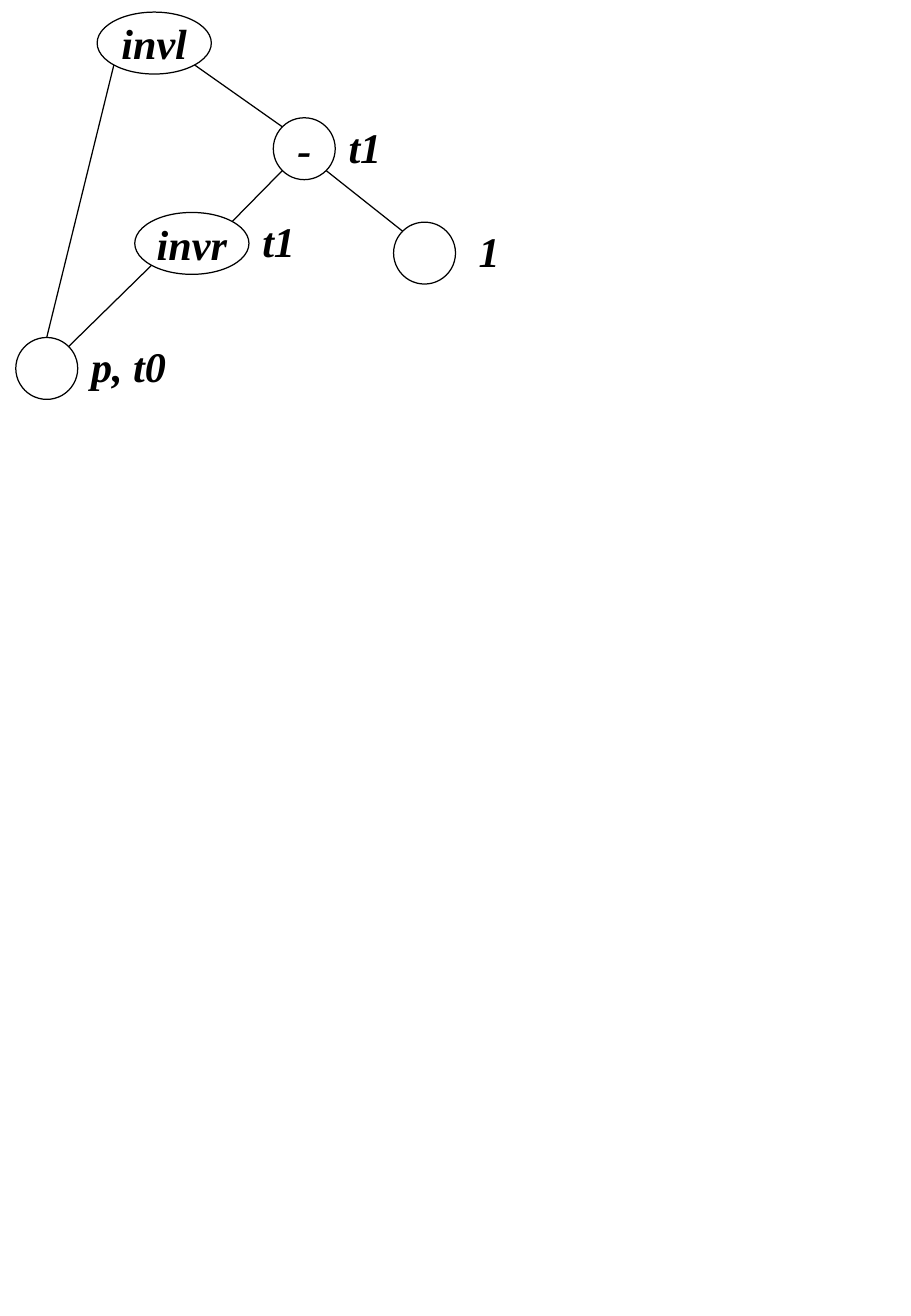
from math import sqrt

from lxml.etree import SubElement
from pptx import Presentation
from pptx.dml.color import RGBColor
from pptx.enum.shapes import MSO_CONNECTOR, MSO_SHAPE
from pptx.enum.text import MSO_ANCHOR, PP_ALIGN
from pptx.oxml.ns import qn
from pptx.util import Inches, Pt

BLACK = RGBColor(0, 0, 0)
FONT = "Times New Roman"
TALL = 0.51
WIDE = 0.94

# name: left, top, width, text inside, label beside, gap before the label
NODES = {
    "invl": (0.8, 0.1, WIDE, "invl", "", 0),
    "minus": (2.25, 0.97, TALL, "-", "t1", 0),
    "invr": (1.11, 1.75, WIDE, "invr", "t1", 0),
    "one": (3.24, 1.83, TALL, "", "1", 0.08),
    "leaf": (0.13, 2.78, TALL, "", "p, t0", 0),
}

# parent, side it leaves from, child, side it reaches (-1 left, 0 middle, 1 right)
EDGES = [
    ("invl", -1, "leaf", 0),
    ("invl", 1, "minus", -1),
    ("minus", -1, "invr", 1),
    ("minus", 1, "one", -1),
    ("invr", -1, "leaf", 1),
]


def write(frame, text, align):
    frame.text = text
    frame.vertical_anchor = MSO_ANCHOR.MIDDLE
    para = frame.paragraphs[0]
    para.alignment = align
    for run in para.runs:
        font = run.font
        font.name, font.size = FONT, Pt(25)
        font.bold = font.italic = True
        font.color.rgb = BLACK


def ink(line):
    line.color.rgb = BLACK
    line.width = Pt(0.75)


def add_node(slide, left, top, width, text, label, gap):
    oval = slide.shapes.add_shape(
        MSO_SHAPE.OVAL, Inches(left), Inches(top), Inches(width), Inches(TALL))
    oval.shadow.inherit = False
    oval.fill.background()
    ink(oval.line)
    if text:
        oval.text_frame.word_wrap = False
        write(oval.text_frame, text, PP_ALIGN.CENTER)
    if label:
        box = slide.shapes.add_textbox(
            Inches(left + width + gap), Inches(top), Inches(0.86), Inches(0.47))
        frame = box.text_frame
        frame.word_wrap = True
        frame.margin_left, frame.margin_right = Inches(0.11), 0
        write(frame, label, PP_ALIGN.LEFT)


def rim(name, side, down):
    """Point on a node's outline: a diagonal one, or the top or bottom for side 0."""
    left, top, width = NODES[name][:3]
    rise = 1 / sqrt(2) if side else 1
    x = left + width / 2 * (1 + side / sqrt(2))
    y = top + TALL / 2 * (1 + down * rise)
    return Inches(x), Inches(y)


def add_edge(slide, parent, out, child, into):
    line = slide.shapes.add_connector(
        MSO_CONNECTOR.STRAIGHT, *rim(parent, out, 1), *rim(child, into, -1))
    ink(line.line)
    SubElement(line._element.spPr, qn("a:effectLst"))


def add_tree(slide):
    for edge in EDGES:
        add_edge(slide, *edge)
    for node in NODES.values():
        add_node(slide, *node)


def main():
    deck = Presentation()
    deck.slide_width, deck.slide_height = Inches(7.5), Inches(10.84)
    add_tree(deck.slides.add_slide(deck.slide_layouts[6]))
    deck.save("out.pptx")


if __name__ == "__main__":
    main()
